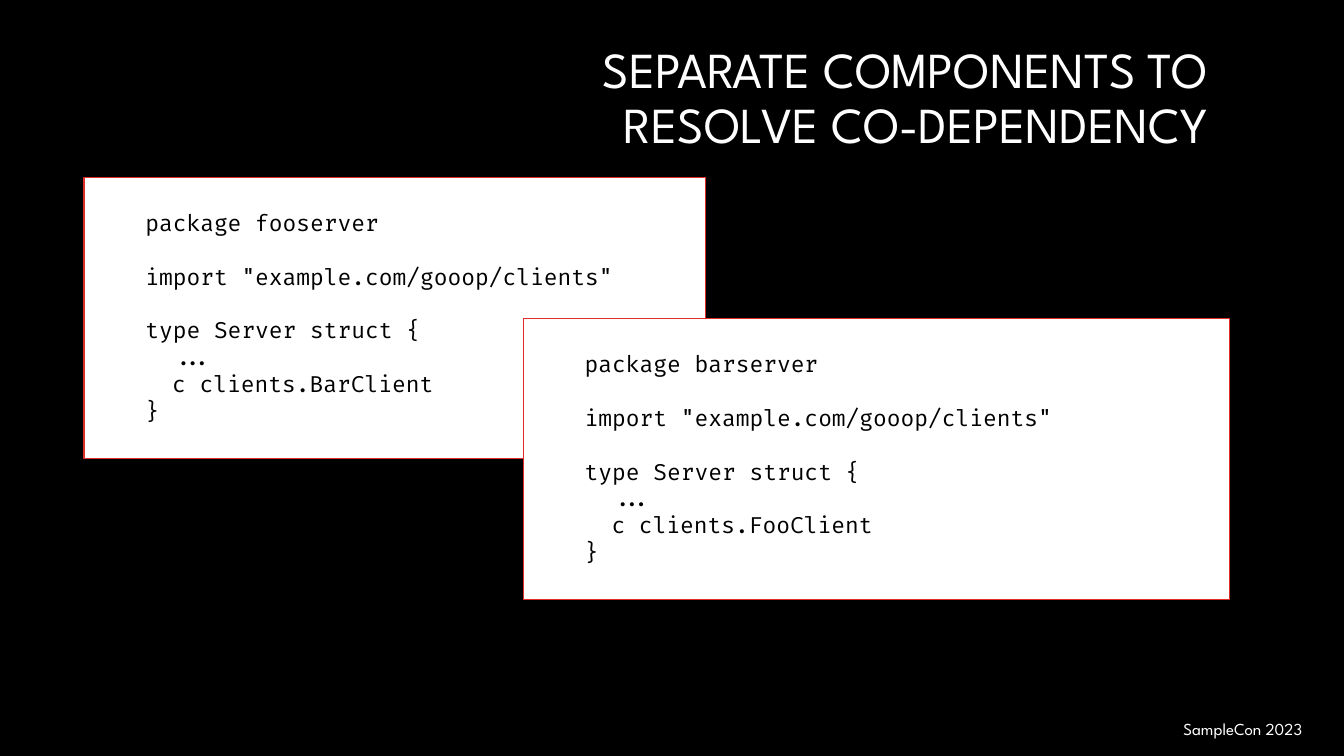
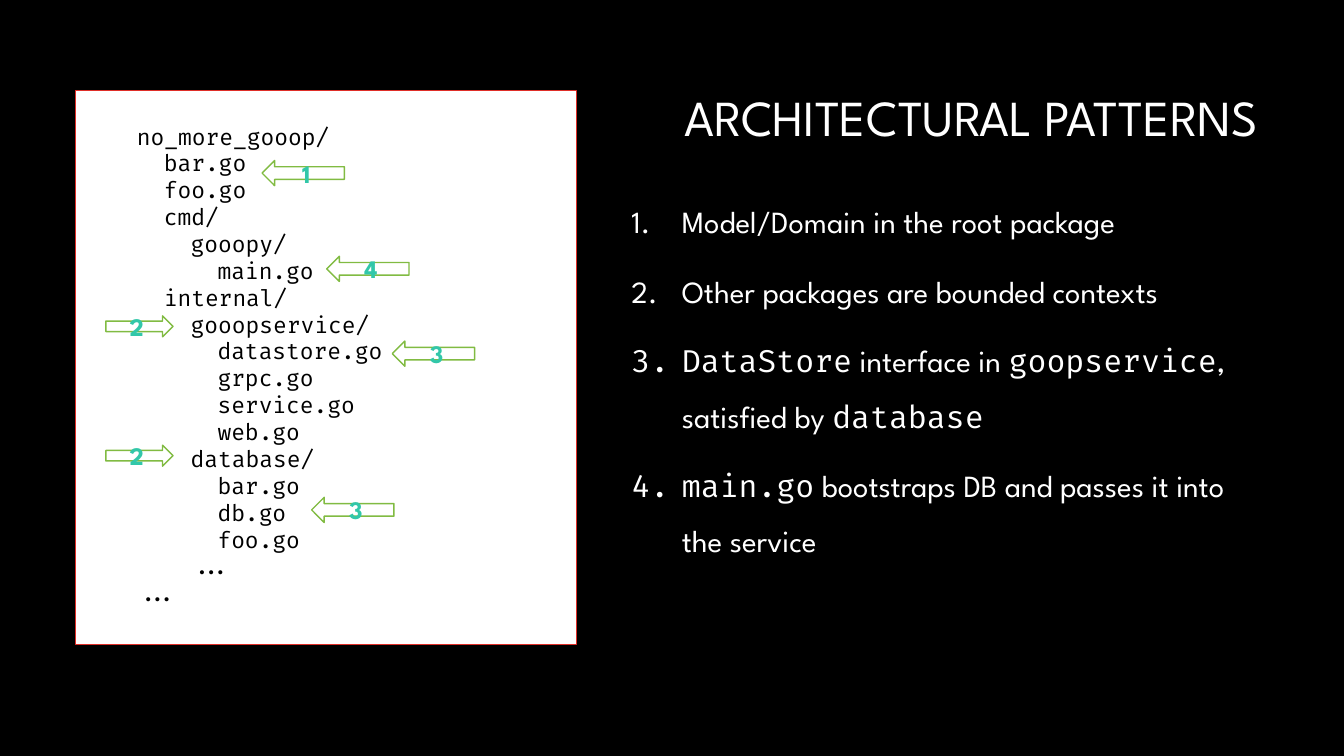
from dataclasses import dataclass

from lxml import etree
from pptx import Presentation
from pptx.dml.color import RGBColor
from pptx.enum.shapes import MSO_SHAPE
from pptx.enum.text import MSO_ANCHOR, PP_ALIGN
from pptx.oxml.ns import qn
from pptx.util import Emu, Inches, Pt

RECT, LEFT, RIGHT = MSO_SHAPE.RECTANGLE, MSO_SHAPE.LEFT_ARROW, MSO_SHAPE.RIGHT_ARROW
MID, TOP = MSO_ANCHOR.MIDDLE, MSO_ANCHOR.TOP
START, CENTER, END = PP_ALIGN.LEFT, PP_ALIGN.CENTER, PP_ALIGN.RIGHT

COLS, ROWS = 160, 90
WIDE, HIGH = Inches(13.333), Inches(7.5)
BLACK, WHITE, RED, GREEN, TEAL = "000000", "FFFFFF", "DF2E28", "81BB42", "32C7A9"
SANS, MONO = "League Spartan", "Fira Code"
STEP = Pt(19.2)

TITLE = {"size": Pt(36), "name": SANS, "color": WHITE}
FOOT = {"size": Pt(12), "name": SANS, "color": WHITE}
CODE = {"size": Pt(16), "name": MONO, "color": BLACK}
ITEM = {"size": Pt(22), "name": SANS, "color": WHITE}
TERM = {**ITEM, "name": MONO}
MARK = {"size": Pt(18), "name": SANS, "color": TEAL, "bold": True}


@dataclass(frozen=True)
class Box:
    col: float
    row: float
    cols: float
    rows: float

    def place(self) -> tuple:
        return (Emu(int(self.col * WIDE / COLS)), Emu(int(self.row * HIGH / ROWS)),
                Emu(int(self.cols * WIDE / COLS)), Emu(int(self.rows * HIGH / ROWS)))


@dataclass(frozen=True)
class Panel:
    box: Box
    code: str


@dataclass(frozen=True)
class Arrow:
    label: str
    col: float
    row: float
    kind: int = LEFT


SERVER = """package {0}server

import "example.com/gooop/clients"

type Server struct {{
  ...
  c clients.{1}Client
}}"""

TREE = """no_more_gooop/
  bar.go
  foo.go
  cmd/
    gooopy/
      main.go
  internal/
    gooopservice/
      datastore.go
      grpc.go
      service.go
      web.go
    database/
      bar.go
      db.go
      foo.go
    ...
..."""

PAIR = [
    Panel(Box(10, 21.1, 74, 33.5), SERVER.format("foo", "Bar")),
    Panel(Box(62.3, 37.9, 84.1, 33.5), SERVER.format("bar", "Foo")),
]
ARROWS = [
    Arrow("1", 31.2, 19.1),
    Arrow("2", 12.6, 37.6, RIGHT),
    Arrow("2", 12.6, 53, RIGHT),
    Arrow("3", 46.7, 40.6),
    Arrow("3", 37.1, 59.2),
    Arrow("4", 38.9, 30.5),
]
SIZES = {LEFT: (9.8, 3), RIGHT: (8, 2.5)}
ITEMS = [
    [("Model/Domain in the root package", ITEM)],
    [("Other packages are bounded contexts", ITEM)],
    [("DataStore", TERM), (" interface in ", ITEM), ("goopservice", TERM),
     (", satisfied by ", ITEM), ("database", TERM)],
    [("main.go", TERM), (" bootstraps DB and passes it into the service", ITEM)],
]


def paint(target, shade: str) -> None:
    target.rgb = RGBColor.from_string(shade)


def style(run, form: dict) -> None:
    for key, value in form.items():
        if key == "color":
            paint(run.font.color, value)
        else:
            setattr(run.font, key, value)


def write(para, text: str, form: dict) -> None:
    para.text = text
    for run in para.runs:
        style(run, form)


def frame(slide, box: Box, anchor: int = TOP):
    body = slide.shapes.add_textbox(*box.place()).text_frame
    body.word_wrap = True
    body.vertical_anchor = anchor
    return body


def figure(slide, kind: int, box: Box, edge: str, width: float):
    shape = slide.shapes.add_shape(kind, *box.place())
    shape.shadow.inherit = False
    shape.fill.solid()
    paint(shape.fill.fore_color, WHITE)
    paint(shape.line.color, edge)
    shape.line.width = Pt(width)
    return shape.text_frame


def head(slide, box: Box, text: str) -> None:
    para = frame(slide, box, MID).paragraphs[0]
    write(para, text, TITLE)
    para.alignment, para.line_spacing = END, 0.9


def panel(slide, spec: Panel) -> None:
    body = figure(slide, RECT, spec.box, RED, 0.75)
    body.vertical_anchor = TOP
    body.margin_top = Inches(0.05) + STEP
    para, gap = body.paragraphs[0], 0
    for line in spec.code.split("\n"):
        text = line.lstrip()
        if not text:
            gap += STEP
            continue
        if para.runs:
            para = body.add_paragraph()
        write(para, text, CODE)
        para.alignment, para.space_before = START, Emu(gap)
        depth = (len(line) - len(text)) // 2
        para._p.get_or_add_pPr().set("marL", str(Inches(0.51) + depth * STEP))
        gap = 0


def arrow(slide, spec: Arrow) -> None:
    box = Box(spec.col, spec.row, *SIZES[spec.kind])
    body = figure(slide, spec.kind, box, GREEN, 1)
    body.vertical_anchor = MID
    para = body.paragraphs[0]
    write(para, spec.label, MARK)
    para.alignment = CENTER
    line = etree.Element(qn("a:ln"), w=str(Pt(0.75)))
    fill = etree.SubElement(line, qn("a:solidFill"))
    etree.SubElement(fill, qn("a:srgbClr"), val=BLACK)
    para.runs[0].font._element.insert(0, line)


def listing(slide, box: Box, items: list) -> None:
    body = frame(slide, box)
    for rank, parts in enumerate(items):
        para = body.add_paragraph() if rank else body.paragraphs[0]
        para.line_spacing, para.space_before = 1.5, Pt(10)
        props = para._p.get_or_add_pPr()
        props.set("marL", str(Inches(0.5)))
        props.set("indent", str(-Inches(0.5)))
        etree.SubElement(props, qn("a:buFont"), typeface="+mj-lt")
        etree.SubElement(props, qn("a:buAutoNum"), type="arabicPeriod")
        for text, form in parts:
            run = para.add_run()
            run.text = text
            style(run, form)


def start(deck):
    slide = deck.slides.add_slide(deck.slide_layouts[6])
    slide.background.fill.solid()
    paint(slide.background.fill.fore_color, BLACK)
    return slide


def main() -> None:
    deck = Presentation()
    deck.slide_width, deck.slide_height = WIDE, HIGH

    slide = start(deck)
    head(slide, Box(15, 6.6, 130, 10.5), "SEPARATE COMPONENTS TO\nRESOLVE CO-DEPENDENCY")
    foot = frame(slide, Box(139.7, 85, 19.2, 3.6))
    write(foot.paragraphs[0], "SampleCon 2023", FOOT)
    for item in PAIR:
        panel(slide, item)

    slide = start(deck)
    head(slide, Box(38, 10.1, 113, 8.3), "ARCHITECTURAL PATTERNS")
    listing(slide, Box(74, 21.4, 77, 52.8), ITEMS)
    panel(slide, Panel(Box(9, 10.8, 59.6, 65.9), TREE))
    for item in ARROWS:
        arrow(slide, item)

    deck.save("out.pptx")


if __name__ == "__main__":
    main()
